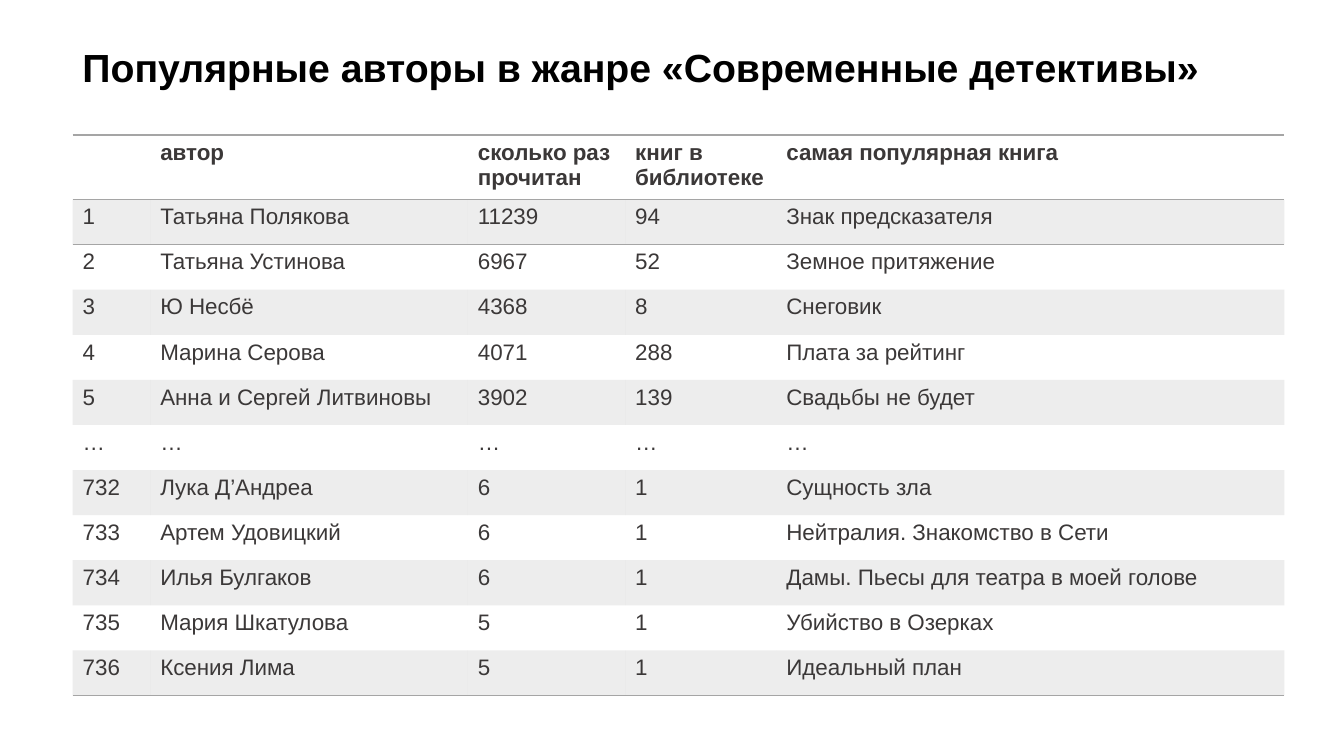
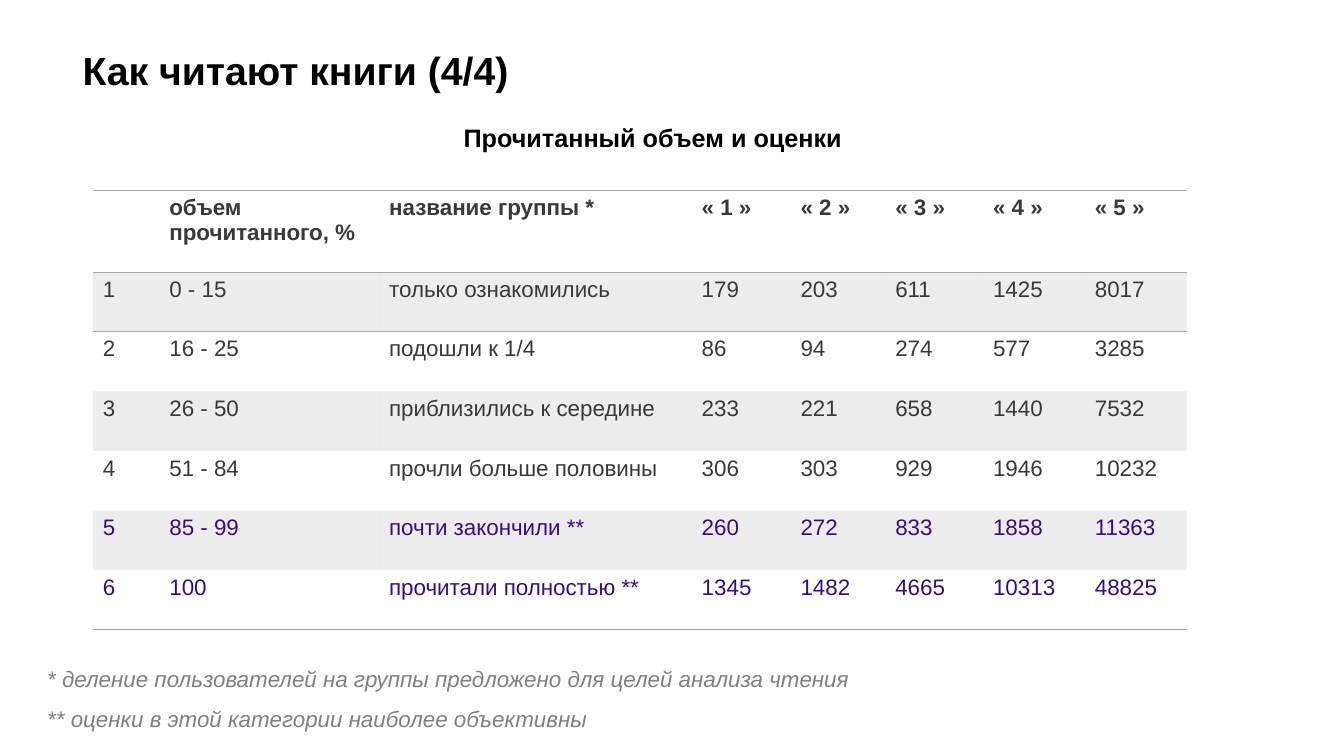
from dataclasses import dataclass

from lxml.etree import SubElement
from pptx import Presentation
from pptx.dml.color import RGBColor
from pptx.enum.text import MSO_AUTO_SIZE
from pptx.oxml.ns import qn
from pptx.util import Emu, Pt

EMU_PER_PX = 9144
NO_STYLE_NO_GRID = "{2D5ABB26-0587-4C30-8999-92F81FD0307C}"


def px(length):
    return Emu(round(length * EMU_PER_PX))


@dataclass(frozen=True)
class Box:
    left: int
    top: int
    width: int
    height: int

    def emu(self):
        return px(self.left), px(self.top), px(self.width), px(self.height)


@dataclass(frozen=True)
class TextStyle:
    size: int
    color: str
    bold: bool = False
    italic: bool = False


@dataclass(frozen=True)
class Theme:
    font: str = "Arial"
    background: str = "FFFFFF"
    rule: str = "A5A5A5"
    rule_width: int = 1
    band: str = "A5A5A5"
    band_opacity: int = 20
    title: TextStyle = TextStyle(28, "000000", bold=True)
    subtitle: TextStyle = TextStyle(18, "000000", bold=True)
    header: TextStyle = TextStyle(16, "3B3838", bold=True)
    body: TextStyle = TextStyle(16, "3B3838")
    highlight: TextStyle = TextStyle(16, "370D86")
    footnote: TextStyle = TextStyle(16, "808080", italic=True)


THEME = Theme()

AUTHOR_COLUMNS = [77, 315, 156, 150, 504]
AUTHOR_ROWS = [
    ("", "автор", "сколько раз прочитан", "книг в библиотеке", "самая популярная книга"),
    ("1", "Татьяна Полякова", "11239", "94", "Знак предсказателя"),
    ("2", "Татьяна Устинова", "6967", "52", "Земное притяжение"),
    ("3", "Ю Несбё", "4368", "8", "Снеговик"),
    ("4", "Марина Серова", "4071", "288", "Плата за рейтинг"),
    ("5", "Анна и Сергей Литвиновы", "3902", "139", "Свадьбы не будет"),
    ("…",) * 5,
    ("732", "Лука Д’Андреа", "6", "1", "Сущность зла"),
    ("733", "Артем Удовицкий", "6", "1", "Нейтралия. Знакомство в Сети"),
    ("734", "Илья Булгаков", "6", "1", "Дамы. Пьесы для театра в моей голове"),
    ("735", "Мария Шкатулова", "5", "1", "Убийство в Озерках"),
    ("736", "Ксения Лима", "5", "1", "Идеальный план"),
]

RATING_COLUMNS = [66, 218, 310, 98, 94, 97, 101, 101]
RATING_ROWS = [
    ("", "объем прочитанного, %", "название группы *",
     "« 1 »", "« 2 »", "« 3 »", "« 4 »", "« 5 »"),
    ("1", "0 - 15", "только ознакомились", "179", "203", "611", "1425", "8017"),
    ("2", "16 - 25", "подошли к 1/4", "86", "94", "274", "577", "3285"),
    ("3", "26 - 50", "приблизились к середине", "233", "221", "658", "1440", "7532"),
    ("4", "51 - 84", "прочли больше половины", "306", "303", "929", "1946", "10232"),
    ("5", "85 - 99", "почти закончили **", "260", "272", "833", "1858", "11363"),
    ("6", "100", "прочитали полностью **", "1345", "1482", "4665", "10313", "48825"),
]
OBJECTIVE_ROWS = (5, 6)

FOOTNOTES = [
    "* деление пользователей на группы предложено для целей анализа чтения",
    "** оценки в этой категории наиболее объективны",
]


def write_text(text_frame, text, style):
    paragraph = text_frame.paragraphs[0]
    paragraph.text = text
    font = paragraph.font
    font.name = THEME.font
    font.size = Pt(style.size)
    font.bold = style.bold
    font.italic = style.italic
    font.color.rgb = RGBColor.from_string(style.color)


def add_text(slide, box, text, style):
    text_frame = slide.shapes.add_textbox(*box.emu()).text_frame
    text_frame.word_wrap = True
    text_frame.auto_size = MSO_AUTO_SIZE.SHAPE_TO_FIT_TEXT
    write_text(text_frame, text, style)


def add_rule(cell, side):
    properties = cell._tc.get_or_add_tcPr()
    line = SubElement(properties, qn(f"a:{side}"), w=str(Pt(THEME.rule_width)))
    fill = SubElement(line, qn("a:solidFill"))
    SubElement(fill, qn("a:srgbClr"), val=THEME.rule)


def fill_cell(cell, banded):
    if not banded:
        cell.fill.background()
        return
    cell.fill.solid()
    cell.fill.fore_color.rgb = RGBColor.from_string(THEME.band)
    color = cell._tc.tcPr.find(f"{qn('a:solidFill')}/{qn('a:srgbClr')}")
    SubElement(color, qn("a:alpha"), val=str(THEME.band_opacity * 1000))


def add_ruled_table(slide, box, columns, rows, header_height, highlighted=()):
    frame = slide.shapes.add_table(len(rows), len(columns), *box.emu())
    table = frame.table
    table.first_row = False
    table.horz_banding = False
    table._tbl.tblPr.find(qn("a:tableStyleId")).text = NO_STYLE_NO_GRID
    for column, width in zip(table.columns, columns):
        column.width = px(width)
    last = len(rows) - 1
    body_height = (box.height - header_height) / last
    for index, texts in enumerate(rows):
        table.rows[index].height = px(body_height if index else header_height)
        if index == 0:
            style = THEME.header
        else:
            style = THEME.highlight if index in highlighted else THEME.body
        for cell, text in zip(table.rows[index].cells, texts):
            write_text(cell.text_frame, text, style)
            if index in (0, 1):
                add_rule(cell, "lnT")
            if index in (0, last):
                add_rule(cell, "lnB")
            fill_cell(cell, banded=index % 2 == 1)


def add_footnotes(slide, box, notes):
    pitch = box.height // len(notes)
    for index, note in enumerate(notes):
        note_box = Box(box.left, box.top + index * pitch, box.width, 37)
        add_text(slide, note_box, note, THEME.footnote)


def add_titled_slide(presentation, title_box, title):
    slide = presentation.slides.add_slide(presentation.slide_layouts[6])
    background = slide.background.fill
    background.solid()
    background.fore_color.rgb = RGBColor.from_string(THEME.background)
    add_text(slide, title_box, title, THEME.title)
    return slide


def build_authors_slide(presentation):
    slide = add_titled_slide(presentation, Box(72, 38, 1164, 57),
                             "Популярные авторы в жанре «Современные детективы»")
    add_ruled_table(slide, Box(72, 134, 1202, 556), AUTHOR_COLUMNS, AUTHOR_ROWS,
                    header_height=64)


def build_ratings_slide(presentation):
    slide = add_titled_slide(presentation, Box(72, 41, 1049, 57),
                             "Как читают книги (4/4)")
    add_text(slide, Box(450, 116, 426, 40), "Прочитанный объем и оценки", THEME.subtitle)
    add_ruled_table(slide, Box(92, 189, 1086, 436), RATING_COLUMNS, RATING_ROWS,
                    header_height=81, highlighted=OBJECTIVE_ROWS)
    add_footnotes(slide, Box(37, 655, 1141, 80), FOOTNOTES)


def main():
    presentation = Presentation()
    presentation.slide_width = px(1333)
    presentation.slide_height = px(750)
    build_authors_slide(presentation)
    build_ratings_slide(presentation)
    presentation.save("out.pptx")


if __name__ == "__main__":
    main()
